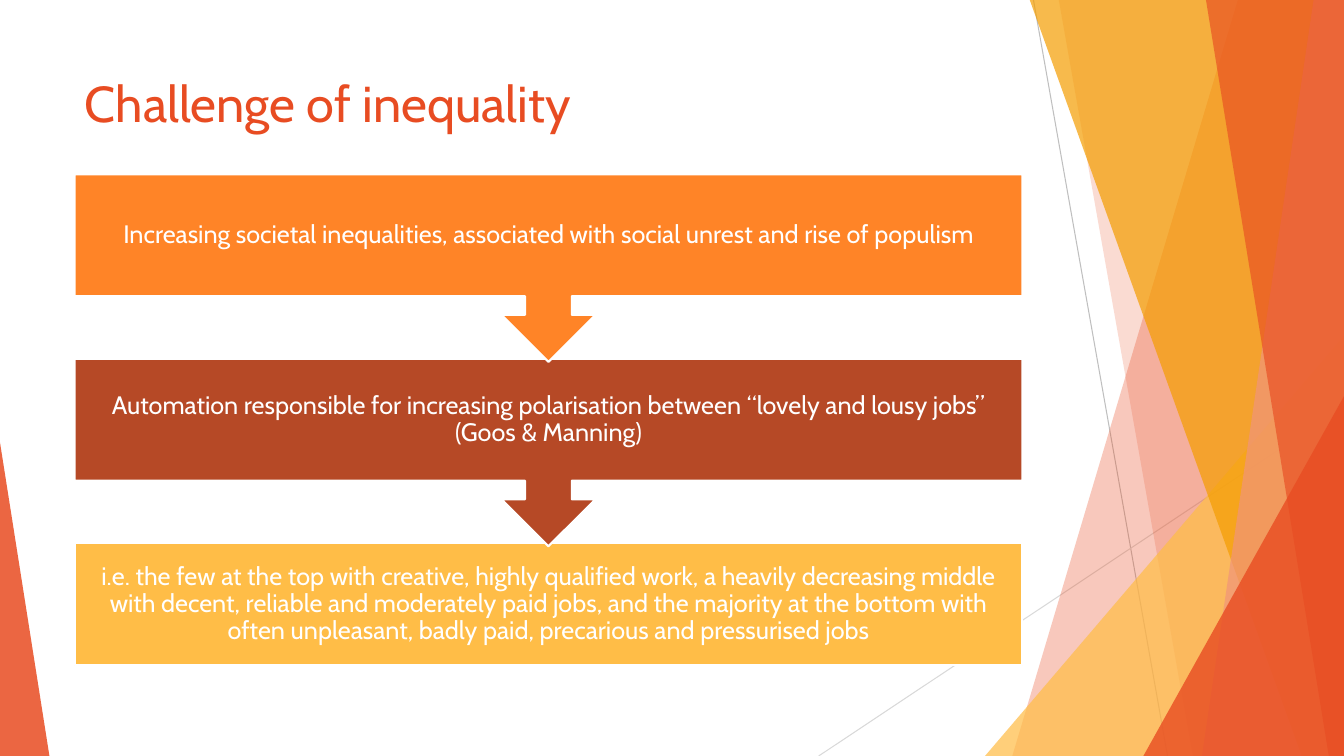
import pptx
import pptx.util
import pptx.dml.color
import pptx.enum.shapes
import pptx.enum.text
import pptx.oxml
import pptx.oxml.ns
import lxml.etree

Inches = pptx.util.Inches
Pt = pptx.util.Pt
SHAPES = pptx.enum.shapes.MSO_SHAPE
ALIGN = pptx.enum.text.PP_ALIGN
ANCHOR = pptx.enum.text.MSO_ANCHOR

WIDTH, HEIGHT = 13.33, 7.5
FONT = "Cabin"
TITLE = "Challenge of inequality"
STEPS = [
    ("Increasing societal inequalities, associated with social unrest and rise of populism", "FF8427"),
    ("Automation responsible for increasing polarisation between “lovely and lousy jobs” (Goos & Manning)", "B64926"),
    ("i.e. the few at the top with creative, highly qualified work, a heavily decreasing middle "
     "with decent, reliable and moderately paid jobs, and the majority at the bottom with often "
     "unpleasant, badly paid, precarious and pressurised jobs", "FFBD47"),
]
STEP_LEFT, STEP_TOP, STEP_WIDTH, STEP_PITCH = 0.74, 1.73, 9.4, 1.83
BOX_HEIGHT, CALLOUT_HEIGHT = 1.21, 1.86

LINES = [
    ((10.25, 0), (11.58, HEIGHT), "BFBFBF"),
    ((WIDTH, 4.03), (8.12, HEIGHT), "D9D9D9"),
]
DECORATIONS = [
    ("panel", (12.28, 10.04), "E84C22", 30),
    ("panel", (10.5, 11.83), "E84C22", 20),
    ("triangle", (9.77, 3.33, 3.56, 1), "FFBD47", 72),
    ("panel", (10.21, 12.91), "F49D00", 70),
    ("panel", (13.03, 11.92), "F1947A", 70),
    ("panel", (11.96, 13.18), "E84C22", 65),
    ("triangle", (11.34, 3.93, 1.99, 1), "E84C22", 80),
    ("triangle", (0, 4.39, 0.49, 0), "E84C22", 85),
]


def color(value):
    return pptx.dml.color.RGBColor.from_string(value)


def fill_shape(shape, value, opacity=100):
    shape.shadow.inherit = False
    shape.fill.solid()
    shape.fill.fore_color.rgb = color(value)
    if opacity < 100:
        rgb = shape._element.spPr.find(".//" + pptx.oxml.ns.qn("a:srgbClr"))
        alpha = lxml.etree.SubElement(rgb, pptx.oxml.ns.qn("a:alpha"))
        alpha.set("val", str(opacity * 1000))


def add_line(slide, start, end, value):
    points = [Inches(number) for number in start + end]
    line = slide.shapes.add_connector(pptx.enum.shapes.MSO_CONNECTOR.STRAIGHT, *points)
    line.line.color.rgb = color(value)
    line.line.width = Pt(0.75)
    lxml.etree.SubElement(line._element.spPr, pptx.oxml.ns.qn("a:effectLst"))


def add_panel(slide, top_left, bottom_left):
    corners = [(WIDTH, -0.01), (WIDTH, HEIGHT), (bottom_left, HEIGHT)]
    builder = slide.shapes.build_freeform(Inches(top_left), Inches(-0.01))
    builder.add_line_segments([(Inches(x), Inches(y)) for x, y in corners], close=True)
    return builder.convert_to_shape()


def add_triangle(slide, left, top, width, apex):
    shape = slide.shapes.add_shape(
        SHAPES.ISOSCELES_TRIANGLE, Inches(left), Inches(top), Inches(width), Inches(HEIGHT - top))
    shape.adjustments[0] = apex
    return shape


def add_title(slide):
    title = slide.shapes.title
    title.left, title.top, title.width, title.height = map(Inches, (0.74, 0.67, 9.4, 1.44))
    frame = title.text_frame
    frame.text = TITLE
    frame.word_wrap = True
    frame.auto_size = pptx.enum.text.MSO_AUTO_SIZE.NONE
    frame.vertical_anchor = ANCHOR.TOP
    format_paragraph(frame.paragraphs[0], 36, "E84C22", ALIGN.LEFT)


def format_paragraph(paragraph, size, value, alignment):
    paragraph.alignment = alignment
    paragraph.font.name = FONT
    paragraph.font.size = Pt(size)
    paragraph.font.color.rgb = color(value)


def add_step(slide, index, text, value):
    last = index == len(STEPS) - 1
    shape = slide.shapes.add_shape(
        SHAPES.RECTANGLE if last else SHAPES.DOWN_ARROW_CALLOUT,
        Inches(STEP_LEFT), Inches(STEP_TOP + index * STEP_PITCH),
        Inches(STEP_WIDTH), Inches(BOX_HEIGHT if last else CALLOUT_HEIGHT))
    fill_shape(shape, value)
    shape.line.color.rgb = color("FFFFFF")
    shape.line.width = Pt(1.5)
    frame = shape.text_frame
    frame.text = text
    frame.word_wrap = True
    frame.vertical_anchor = ANCHOR.MIDDLE
    frame.margin_left = frame.margin_right = Inches(0.14)
    frame.margin_top = frame.margin_bottom = Inches(0.14)
    paragraph = frame.paragraphs[0]
    paragraph.line_spacing = 0.9
    format_paragraph(paragraph, 18, "FFFFFF", ALIGN.CENTER)


def main():
    presentation = pptx.Presentation()
    presentation.slide_width = Inches(WIDTH)
    presentation.slide_height = Inches(HEIGHT)
    slide = presentation.slides.add_slide(presentation.slide_layouts[5])
    for start, end, value in LINES:
        add_line(slide, start, end, value)
    builders = {"panel": add_panel, "triangle": add_triangle}
    for kind, geometry, value, opacity in DECORATIONS:
        shape = builders[kind](slide, *geometry)
        fill_shape(shape, value, opacity)
        shape.line.fill.background()
    add_title(slide)
    for index, (text, value) in reversed(list(enumerate(STEPS))):
        add_step(slide, index, text, value)
    presentation.save("out.pptx")


if __name__ == "__main__":
    main()
